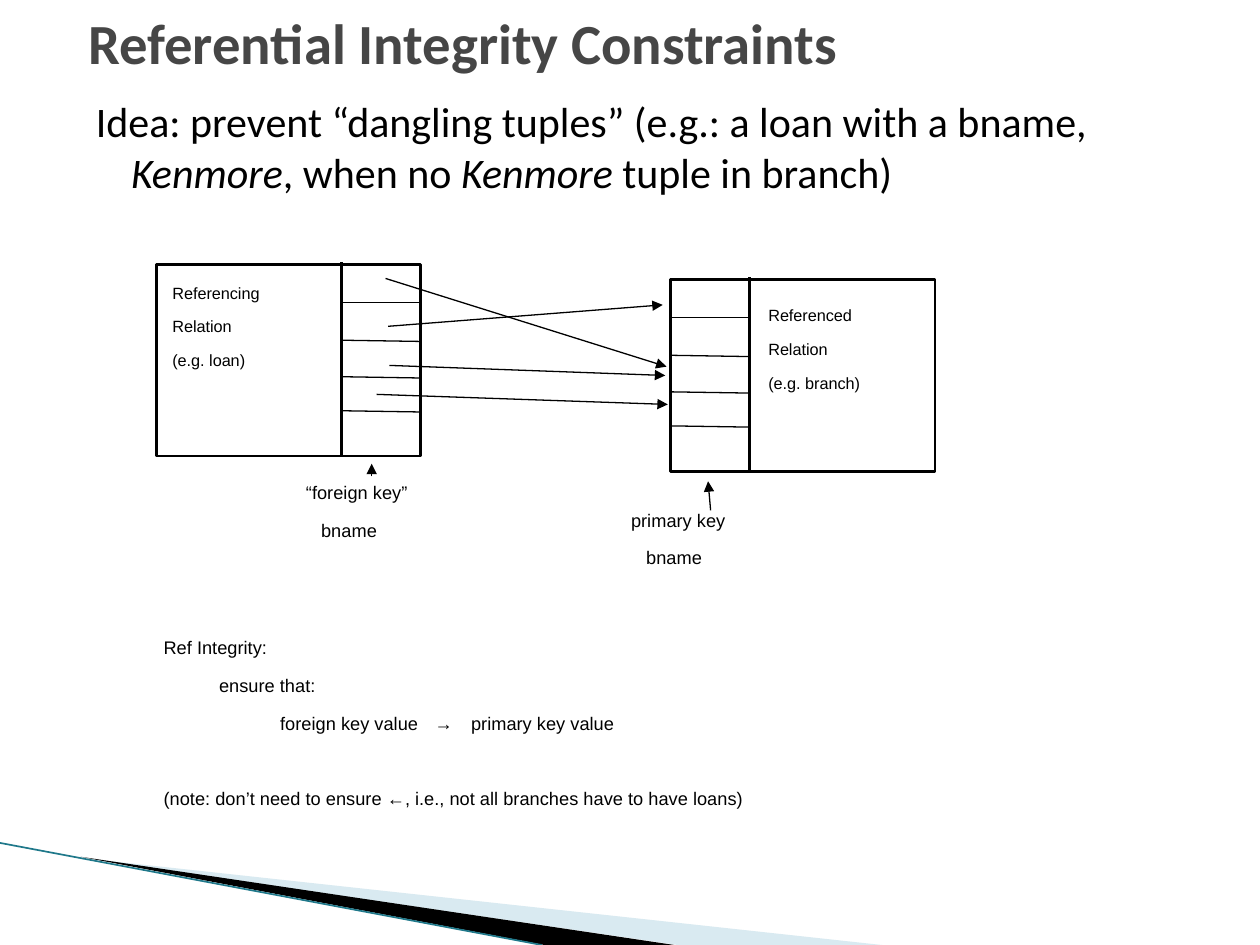
from dataclasses import dataclass
from pptx import Presentation
from pptx.dml.color import RGBColor as RGB
from pptx.enum.shapes import MSO_CONNECTOR as Conn, MSO_SHAPE as Shape
from pptx.enum.text import MSO_ANCHOR as Anchor, MSO_AUTO_SIZE as Fit, PP_ALIGN as Align
from pptx.oxml.ns import qn
from pptx.util import Inches, Pt
from lxml.etree import SubElement as Sub


@dataclass(frozen=True)
class Theme:
    ink: RGB = RGB(0, 0, 0)
    gray: RGB = RGB(0x46, 0x46, 0x46)
    pale: RGB = RGB(0xA0, 0xCB, 0xDC)
    teal: RGB = RGB(0x1F, 0x78, 0x8A)
    head: str = "Calibri"
    sans: str = "Arial"
    title: float = 32.4
    body: float = 24
    label: float = 16
    note: float = 18
    thin: float = 0.75
    bold: float = 1.5


class Deck:
    """Draws on one slide with a grid of 100 columns and 75 rows."""

    def __init__(self, theme):
        self.theme = theme
        self.prs = Presentation()
        self.prs.slide_width, self.prs.slide_height = Inches(10), Inches(7.5)
        self.slide = self.prs.slides.add_slide(self.prs.slide_layouts[1])
        self.shapes = self.slide.shapes

    def x(self, col):
        return round(self.prs.slide_width * col / 100)

    def y(self, row):
        return round(self.prs.slide_height * row / 75)

    def box(self, left, top, wide, high):
        return self.x(left), self.y(top), self.x(wide), self.y(high)

    def run(self, para, text, size, face, color=None, bold=False, slant=False, raised=False):
        run = para.add_run()
        run.text = text
        font = run.font
        font.size, font.name = Pt(size), face
        font.bold, font.italic = bold, slant
        font.color.rgb = color or self.theme.ink
        if raised:
            run._r.get_or_add_rPr().set("baseline", "30000")

    def holder(self, index, area, anchor):
        item = self.slide.placeholders[index]
        item.left, item.top, item.width, item.height = self.box(*area)
        frame = item.text_frame
        frame.word_wrap, frame.auto_size = True, Fit.NONE
        frame.vertical_anchor = anchor
        para = frame.paragraphs[0]
        para.alignment, para.space_before = Align.LEFT, Pt(0)
        return para

    def title(self, text, area):
        para = self.holder(0, area, Anchor.MIDDLE)
        t = self.theme
        self.run(para, text, t.title, t.head, t.gray, bold=True)

    def body(self, parts, area):
        para = self.holder(1, area, Anchor.TOP)
        props = para._p.get_or_add_pPr()
        props.set("marL", str(self.x(4)))
        props.set("indent", str(-self.x(2.8)))
        Sub(props, qn("a:buNone"))
        for text, slant in parts:
            self.run(para, text, self.theme.body, self.theme.head, slant=slant)

    def text(self, lines, area, size):
        """Each line is its text, its tab stops in columns and its space before."""
        frame = self.shapes.add_textbox(*self.box(*area)).text_frame
        frame.word_wrap = True
        for i, (text, stops, gap) in enumerate(lines):
            para = frame.add_paragraph() if i else frame.paragraphs[0]
            if gap:
                para.space_before = Pt(gap)
            if stops:
                tabs = Sub(para._p.get_or_add_pPr(), qn("a:tabLst"))
                for stop in stops:
                    Sub(tabs, qn("a:tab"), pos=str(self.x(stop)), algn="l")
            self.run(para, text, size, self.theme.sans, raised=True)

    def line(self, start, end, width, color=None, arrow=False):
        line = self.shapes.add_connector(
            Conn.STRAIGHT, self.x(start[0]), self.y(start[1]), self.x(end[0]), self.y(end[1]))
        line.line.width = Pt(width)
        line.line.color.rgb = color or self.theme.ink
        if arrow:
            Sub(line.line._get_or_add_ln(), qn("a:tailEnd"), type="triangle")
        Sub(line._element.spPr, qn("a:effectLst"))

    def shard(self, points, color, alpha=None):
        first, *rest = [(self.x(c), self.y(r)) for c, r in points]
        path = self.shapes.build_freeform(*first)
        path.add_line_segments(rest, close=True)
        shard = path.convert_to_shape()
        shard.shadow.inherit = False
        shard.fill.solid()
        shard.fill.fore_color.rgb = color
        shard.line.fill.background()
        if alpha:
            tone = shard._element.spPr.find(".//" + qn("a:srgbClr"))
            Sub(tone, qn("a:alpha"), val=str(alpha * 1000))

    def table(self, left, top, split, key):
        """A relation: frame, divider and the cells of its key column."""
        t = self.theme
        frame = self.shapes.add_shape(Shape.RECTANGLE, *self.box(left, top, 21, 15.2))
        frame.shadow.inherit = False
        frame.fill.background()
        frame.line.color.rgb, frame.line.width = t.ink, Pt(t.bold)
        self.line((split, top - 0.2), (split, top + 15.2), t.bold)
        for drop, tilt in ((3, 0), (6, 0.1), (8.9, 0.1), (11.6, 0.1)):
            self.line((key, top + drop), (key + 6.3, top + drop + tilt), t.thin)


def main():
    theme = Theme()
    deck = Deck(theme)

    # Corner decoration
    deck.shard([(6.5, 68.1), (70, 75), (53.8, 75)], theme.pale, 40)
    deck.shard([(6.4, 68), (53.5, 75), (43.2, 75)], theme.ink)
    deck.line((0, 66.9), (43, 75), 0.95, theme.teal)

    # Title and idea
    deck.title("Referential Integrity Constraints", (6, 0, 88.3, 6.7))
    deck.body([("Idea: prevent “dangling tuples” (e.g.: a loan with a bname, ", False),
               ("Kenmore", True), (", when no ", False),
               ("Kenmore", True), (" tuple in branch)", False)], (5.4, 7.1, 85.8, 10.3))

    # The two relations
    deck.table(12.4, 21, split=27.1, key=27.1)
    deck.table(53.2, 22.2, split=59.5, key=53.2)
    for name, sample, area in (("Referencing", "(e.g. loan)", (12.7, 21.7, 14, 9)),
                               ("Referenced", "(e.g. branch)", (60, 23.5, 14.6, 9))):
        deck.text([(row, (), 0) for row in (name, "Relation", sample)], area, theme.label)

    # References from foreign to primary keys, then pointers to the key columns
    for start, end in (((30.6, 22.1), (52.9, 29.1)), ((30.8, 25.9), (52.6, 24.2)),
                       ((30.9, 29), (52.8, 29.8)), ((29.9, 31.3), (53, 32.1)),
                       ((29.5, 37.8), (29.5, 36.8)), ((56.4, 40.5), (56.2, 38.2))):
        deck.line(start, end, theme.thin, arrow=True)

    # Key names
    for name, area in (("“foreign key”", (23.3, 37.4, 15.9, 7)),
                       ("primary key", (49.1, 39.6, 14.9, 7))):
        deck.text([(name, (), 0), ("\tbname", (1.2,), 0)], area, theme.note)

    # The rule
    deck.text([("Ref Integrity:", (), 0),
               ("\tensure that:", (4.4,), 0),
               ("\tforeign key value\t→\tprimary key value", (9.25, 21.5, 24.4), 0),
               ("(note: don’t need to ensure ←, i.e., not all branches have to have loans)",
                (), 21.7)], (12, 49.7, 82.8, 16.2), theme.note)

    deck.prs.save("out.pptx")


if __name__ == "__main__":
    main()
